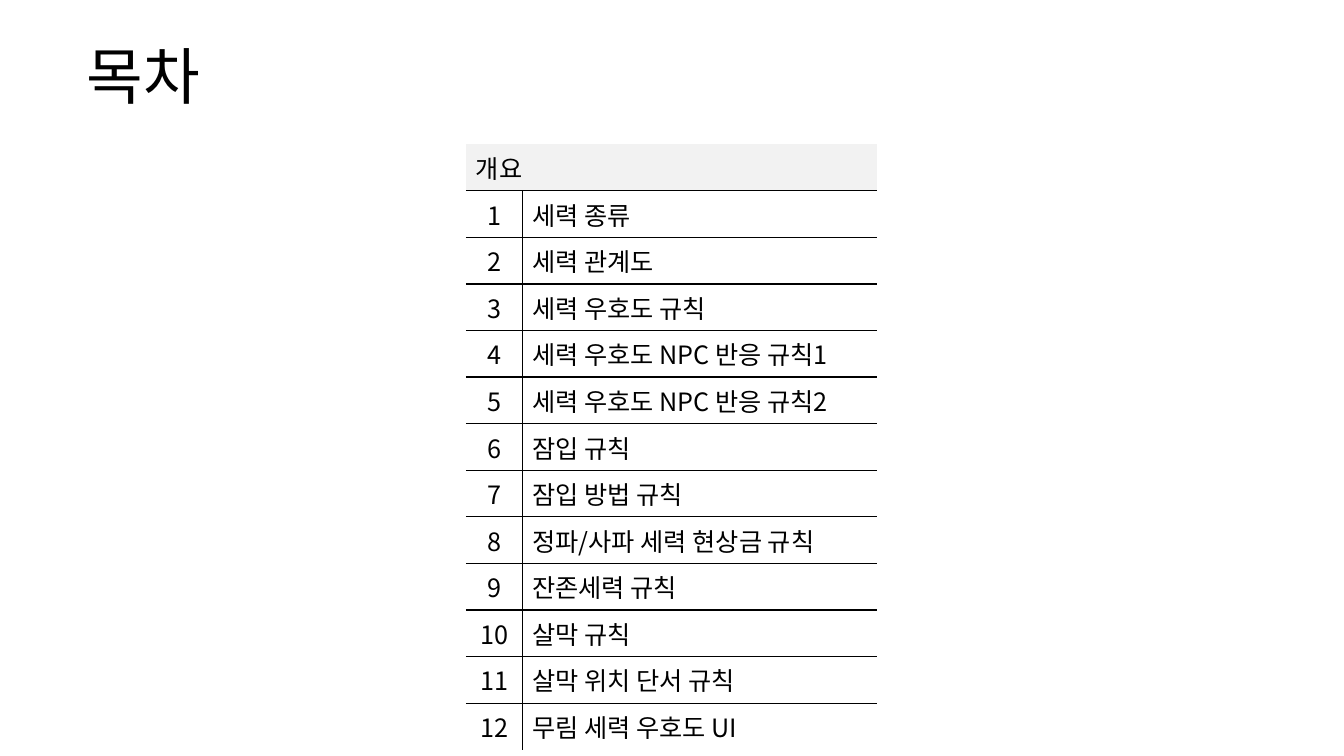
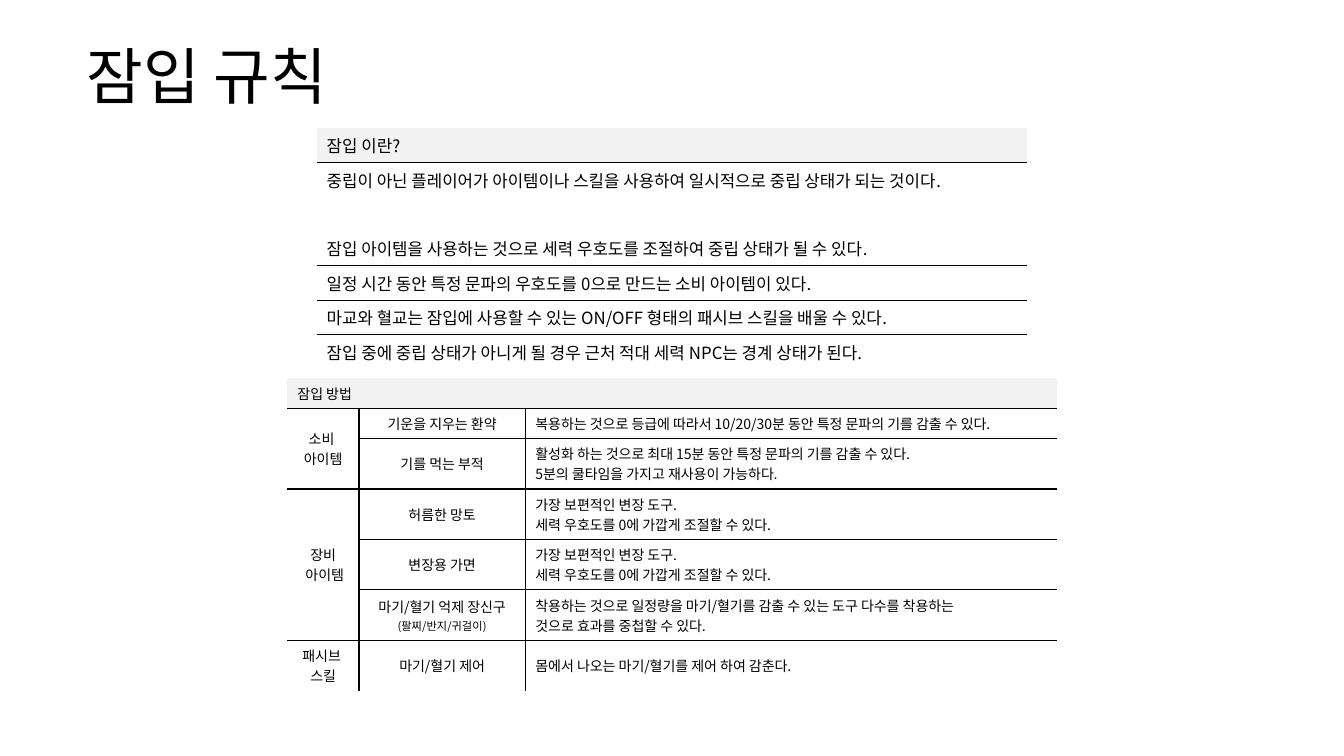
from lxml import etree
from pptx import Presentation
from pptx.dml.color import RGBColor
from pptx.enum.text import MSO_ANCHOR, MSO_AUTO_SIZE, PP_ALIGN
from pptx.oxml.ns import qn
from pptx.util import Inches, Pt

BLACK = RGBColor(0x00, 0x00, 0x00)
GRAY = RGBColor(0xF2, 0xF2, 0xF2)
FACE = "Noto Sans CJK KR"
MIDDLE = MSO_ANCHOR.MIDDLE
LEFT = PP_ALIGN.LEFT
CENTER = PP_ALIGN.CENTER
FIXED = MSO_AUTO_SIZE.NONE
TITLE_ONLY = 5
SIDES = {"a:lnL": (0, -1), "a:lnR": (0, 1), "a:lnT": (-1, 0), "a:lnB": (1, 0)}

TOPICS = [
    "세력 종류",
    "세력 관계도",
    "세력 우호도 규칙",
    "세력 우호도 NPC 반응 규칙1",
    "세력 우호도 NPC 반응 규칙2",
    "잠입 규칙",
    "잠입 방법 규칙",
    "정파/사파 세력 현상금 규칙",
    "잔존세력 규칙",
    "살막 규칙",
    "살막 위치 단서 규칙",
    "무림 세력 우호도 UI",
]
RULES = [
    "잠입 이란?",
    "중립이 아닌 플레이어가 아이템이나 스킬을 사용하여 일시적으로 중립 상태가 되는 것이다.",
    "",
    "잠입 아이템을 사용하는 것으로 세력 우호도를 조절하여 중립 상태가 될 수 있다.",
    "일정 시간 동안 특정 문파의 우호도를 0으로 만드는 소비 아이템이 있다.",
    "마교와 혈교는 잠입에 사용할 수 있는 ON/OFF 형태의 패시브 스킬을 배울 수 있다.",
    "잠입 중에 중립 상태가 아니게 될 경우 근처 적대 세력 NPC는 경계 상태가 된다.",
]
SMALL = "(팔찌/반지/귀걸이)"
DISGUISE = "가장 보편적인 변장 도구.\n세력 우호도를 0에 가깝게 조절할 수 있다."
METHODS = [
    ["잠입 방법", None, None],
    ["소비 \n아이템", "기운을 지우는 환약",
     "복용하는 것으로 등급에 따라서 10/20/30분 동안 특정 문파의 기를 감출 수 있다."],
    [None, "기를 먹는 부적",
     "활성화 하는 것으로 최대 15분 동안 특정 문파의 기를 감출 수 있다.\n"
     "5분의 쿨타임을 가지고 재사용이 가능하다."],
    ["장비\n 아이템", "허름한 망토", DISGUISE],
    [None, "변장용 가면", DISGUISE],
    [None, "마기/혈기 억제 장신구\n" + SMALL,
     "착용하는 것으로 일정량을 마기/혈기를 감출 수 있는 도구 다수를 착용하는\n"
     "것으로 효과를 중첩할 수 있다."],
    ["패시브 \n스킬", "마기/혈기 제어", "몸에서 나오는 마기/혈기를 제어 하여 감춘다."],
]


def apply(item, values):
    for key, value in values.items():
        setattr(item, key, value)


class Deck:
    def __init__(self):
        self.file = Presentation()
        apply(self.file, {"slide_width": Inches(13.33), "slide_height": Inches(7.5)})
        self.slide = None

    def label(self, para, text, size, align=LEFT):
        para.alignment = align
        if not text:
            etree.SubElement(para._p, qn("a:endParaRPr"), sz=str(size * 100))
            return
        run = para.add_run()
        run.text = text
        apply(run.font, {"name": FACE, "size": Pt(size)})
        run.font.color.rgb = BLACK
        etree.SubElement(run.font._element, qn("a:ea"), typeface=FACE)

    def page(self, title):
        self.slide = self.file.slides.add_slide(self.file.slide_layouts[TITLE_ONLY])
        shape = self.slide.shapes.title
        apply(shape, {"left": Inches(0.76), "top": Inches(0.32),
                      "width": Inches(11.81), "height": Inches(0.94)})
        frame = shape.text_frame
        apply(frame, {"word_wrap": True, "auto_size": FIXED, "vertical_anchor": MIDDLE})
        para = frame.paragraphs[0]
        para.line_spacing = 0.9
        self.label(para, title, 44)

    def border(self, cell, name, shown):
        props = cell._tc.get_or_add_tcPr()
        line = etree.SubElement(props, qn(name), w=str(Pt(1) if shown else 0))
        fill = etree.SubElement(line, qn("a:solidFill" if shown else "a:noFill"))
        if shown:
            etree.SubElement(fill, qn("a:srgbClr"), val=str(BLACK))

    def table(self, left, top, cols, rows, data, size, centered=(), open_rows=(), small=None):
        box = [Inches(n) for n in (left, top, sum(cols), sum(rows))]
        grid = self.slide.shapes.add_table(len(rows), len(cols), *box).table
        apply(grid, {"first_row": False, "horz_banding": False})
        for parts, key, sizes in ((grid.columns, "width", cols), (grid.rows, "height", rows)):
            for part, length in zip(parts, sizes):
                setattr(part, key, Inches(length))

        owner = {}
        last = {}
        for r, line in enumerate(data):
            for c, text in enumerate(line):
                source = (r, c) if text is not None else owner[(r, c - 1) if c else (r - 1, c)]
                owner[r, c] = source
                last[source] = (r, c)
        for start, end in last.items():
            if start != end:
                grid.cell(*start).merge(grid.cell(*end))

        for (r, c), source in owner.items():
            cell = grid.cell(r, c)
            cell.vertical_anchor = MIDDLE
            for name, (down, right) in SIDES.items():
                other = owner.get((r + down, c + right))
                blank = down and max(r, r + down) in open_rows
                self.border(cell, name, other not in (None, source) and not blank)
            if r:
                cell.fill.background()
            else:
                cell.fill.solid()
                cell.fill.fore_color.rgb = GRAY
            if source != (r, c):
                continue
            align = CENTER if r and c in centered else LEFT
            frame = cell.text_frame
            for i, text in enumerate(data[r][c].split("\n")):
                para = frame.add_paragraph() if i else frame.paragraphs[0]
                self.label(para, text, 8 if text == small else size, align)


def main():
    deck = Deck()
    deck.page("목차")
    topics = [["개요", None]] + [[str(n), text] for n, text in enumerate(TOPICS, 1)]
    deck.table(4.62, 1.43, [0.56, 3.52], [0.46] * len(topics), topics, 18, centered=(0,))

    deck.page("잠입 규칙")
    deck.table(3.14, 1.27, [7.05], [0.34] * len(RULES), [[text] for text in RULES], 12,
               open_rows=(2, 3))
    deck.table(2.85, 3.75, [0.71, 1.65, 5.27], [0.3] * 2 + [0.5] * 5, METHODS, 10,
               centered=(0, 1), small=SMALL)
    deck.file.save("out.pptx")


if __name__ == "__main__":
    main()
